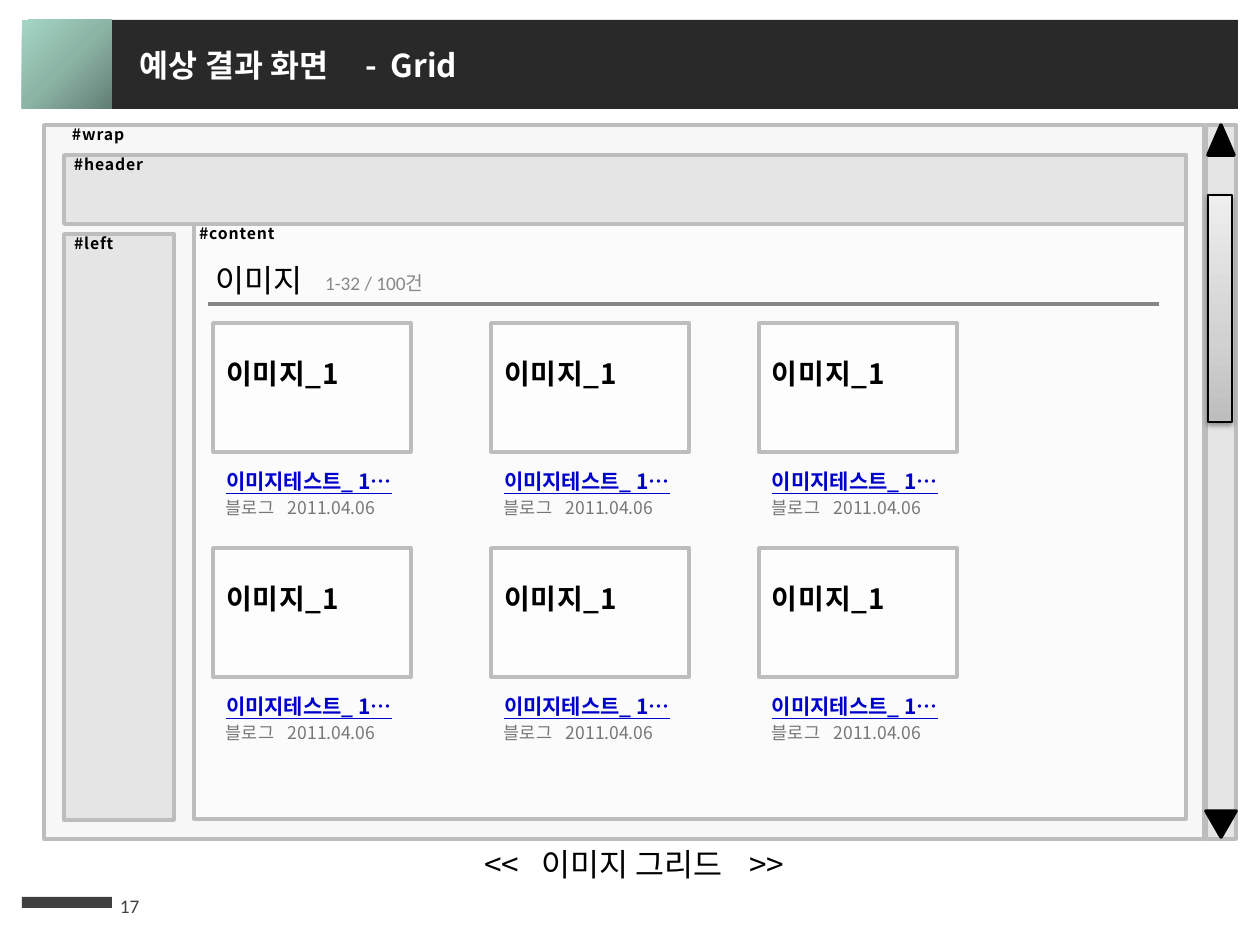
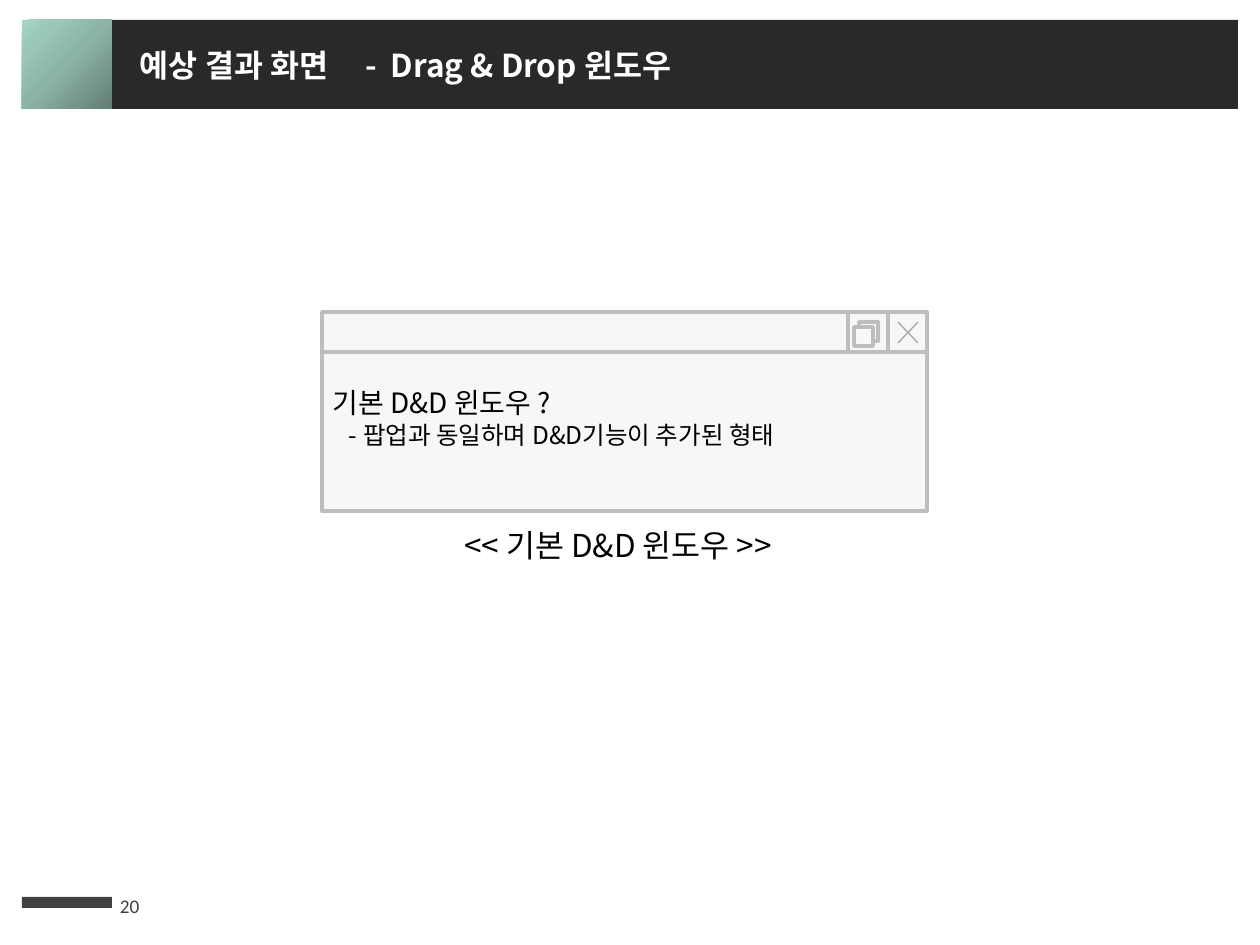
from lxml import etree
from pptx import Presentation, util as u
from pptx.dml.color import RGBColor
from pptx.enum import shapes, text
from pptx.oxml import parse_xml
from pptx.oxml.ns import nsdecls, qn

SCALE = 914400 / 126
NOTO, LATIN = "Noto Sans CJK KR", "Calibri"
BLACK = RGBColor(0, 0, 0)
WHITE = RGBColor(255, 255, 255)
BAND = RGBColor(0x29, 0x29, 0x29)
DARK = RGBColor(0x40, 0x40, 0x40)
PANEL = RGBColor(0xF7, 0xF7, 0xF7)
PALE = RGBColor(0xE5, 0xE5, 0xE5)
EDGE = RGBColor(0xBD, 0xBD, 0xBD)
RULE = RGBColor(0x86, 0x86, 0x86)
CROSS = RGBColor(0xA6, 0xA6, 0xA6)
COUNT = RGBColor(0x88, 0x88, 0x88)
MUTED = RGBColor(0x77, 0x77, 0x77)
LINK = RGBColor(0, 0, 0xCC)
MINT = [(0, "627E74"), (50, "8BB4A5"), (100, "A5D5C4")]
STEEL = [(0, "BDBDBD"), (35, "D1D1D1"), (100, "EEEEEE")]
ROUND = ('<a:path path="circle"><a:fillToRect l="100000" t="100000"/></a:path>')
UPWARD = '<a:lin ang="16200000" scaled="0"/>'


def px(n):
    return u.Emu(round(n * SCALE))


def box(slide, x, y, w, h, fill=None, edge=None, width=2, kind="RECTANGLE", alpha=None):
    item = slide.shapes.add_shape(shapes.MSO_SHAPE[kind], px(x), px(y), px(w), px(h))
    item.shadow.inherit = False
    if fill is not None:
        item.fill.solid()
        item.fill.fore_color.rgb = fill
    if alpha:
        color = item.fill._xPr.find(qn("a:solidFill"))[0]
        etree.SubElement(color, qn("a:alpha")).set("val", str(alpha * 1000))
    if edge is None:
        item.line.fill.background()
    else:
        item.line.color.rgb = edge
        item.line.width = u.Pt(width)
    return item


def blend(item, stops, way):
    marks = "".join(f'<a:gs pos="{at * 1000}"><a:srgbClr val="{tone}"/></a:gs>'
                    for at, tone in stops)
    props = item._element.spPr
    grad = parse_xml(f'<a:gradFill {nsdecls("a")} rotWithShape="1">'
                     f'<a:gsLst>{marks}</a:gsLst>{way}</a:gradFill>')
    props.find(qn("a:prstGeom")).addnext(grad)


def shade(item):
    cast = etree.SubElement(item._element.spPr.find(qn("a:effectLst")), qn("a:outerShdw"))
    for key, val in (("blurRad", u.Pt(3.1)), ("dist", u.Pt(1.6)), ("dir", 5400000)):
        cast.set(key, str(int(val)))
    color = etree.SubElement(cast, qn("a:srgbClr"))
    color.set("val", "000000")
    etree.SubElement(color, qn("a:alpha")).set("val", "38000")


def line(slide, x1, y1, x2, y2, color, width):
    item = slide.shapes.add_connector(
        shapes.MSO_CONNECTOR.STRAIGHT, px(x1), px(y1), px(x2), px(y2))
    item.line.color.rgb = color
    item.line.width = u.Pt(width)
    etree.SubElement(item._element.spPr, qn("a:effectLst"))


def frame(item, left=13, top=6, anchor="TOP"):
    body = item.text_frame
    body.word_wrap = True
    body.vertical_anchor = text.MSO_ANCHOR[anchor]
    body.margin_left, body.margin_top = px(left), px(top)
    body.margin_right = body.margin_bottom = 0
    return body


def write(para, words, size, color=BLACK, font=NOTO, bold=False, under=False,
          space=0, tabs=(), indent=0):
    para.alignment = text.PP_ALIGN.LEFT
    props = para._p.get_or_add_pPr()
    if indent:
        props.set("marL", str(px(indent)))
        props.set("indent", "0")
    if tabs:
        stops = etree.SubElement(props, qn("a:tabLst"))
        for at in tabs:
            stop = etree.SubElement(stops, qn("a:tab"))
            stop.set("pos", str(px(at)))
            stop.set("algn", "l")
    run = para.add_run()
    run.text = words
    run.font.size = u.Pt(size)
    run.font.bold = bold
    run.font.underline = under
    run.font.color.rgb = color
    run.font.name = font
    rpr = run._r.get_or_add_rPr()
    rpr.find(qn("a:latin")).addnext(
        parse_xml(f'<a:ea {nsdecls("a")} typeface="{NOTO}"/>'))
    if space:
        rpr.set("spc", str(space))


def label(slide, x, y, w, h, words, size, anchor="TOP", **style):
    item = slide.shapes.add_textbox(px(x), px(y), px(w), px(h))
    write(frame(item, anchor=anchor).paragraphs[0], words, size, **style)


def panel(slide, x, y, w, h, name, left, fill, alpha=None):
    item = box(slide, x, y, w, h, fill, EDGE, alpha=alpha)
    write(frame(item, left, 0).paragraphs[0], name, 9, bold=True, space=50)


def tile(slide, x, y):
    item = box(slide, x, y, 198, 129, WHITE, EDGE, alpha=60)
    write(frame(item, 13, 34).paragraphs[0], "이미지_1", 16, bold=True, space=50)
    label(slide, x, y + 140, 218, 38, "이미지테스트_ 1…", 12,
          color=LINK, bold=True, under=True)
    label(slide, x, y + 168, 277, 34, "블로그\t2011.04.06", 10,
          color=MUTED, tabs=[62])


def scroll(slide):
    box(slide, 1206, 125, 30, 714, PALE, EDGE)
    thumb = box(slide, 1208, 195, 24, 227, edge=BLACK, width=0.75)
    blend(thumb, STEEL, UPWARD)
    shade(thumb)
    box(slide, 1208, 125, 26, 30, BLACK, BLACK, kind="ISOSCELES_TRIANGLE")
    down = box(slide, 1206, 811, 30, 26, BLACK, BLACK, kind="ISOSCELES_TRIANGLE")
    down.rotation = 180


def start(deck, topic, number):
    slide = deck.slides.add_slide(deck.slide_layouts[6])
    box(slide, 112, 20, 1126, 89, BAND)
    blend(box(slide, 22, 20, 90, 89), MINT, ROUND)
    box(slide, 22, 897, 90, 11, DARK)
    label(slide, 107, 878, 74, 50, number, 11, "MIDDLE", color=DARK, font=LATIN)
    label(slide, 127, 40, 881, 50, f"예상 결과 화면\t-\t{topic}", 18,
          color=WHITE, bold=True, tabs=[226, 251])
    return slide


def grid(deck):
    slide = start(deck, "Grid", "17")
    label(slide, 471, 839, 348, 50, "<<\t이미지 그리드\t>>", 18, tabs=[58, 265])
    panel(slide, 44, 125, 1160, 714, "#wrap", 28, PANEL)
    panel(slide, 194, 224, 992, 595, "#content", 5, WHITE, alpha=60)
    panel(slide, 64, 155, 1122, 69, "#header", 10, PALE)
    panel(slide, 64, 234, 110, 586, "#left", 10, PALE)
    line(slide, 208, 304, 1159, 304, RULE, 2)
    label(slide, 203, 255, 159, 50, "이미지", 18)
    label(slide, 312, 265, 159, 37, "1-32 / 100건", 11, color=COUNT, font=LATIN)
    for y in (323, 548):
        for x in (213, 491, 759):
            tile(slide, x, y)
    scroll(slide)


def window(deck):
    slide = start(deck, "Drag & Drop 윈도우", "20")
    box(slide, 322, 312, 605, 40, PANEL, EDGE)
    box(slide, 848, 312, 40, 40, PANEL, EDGE)
    pane = box(slide, 322, 352, 605, 159, PANEL, EDGE)
    body = frame(pane, 11, 34)
    write(body.paragraphs[0], "기본 D&D 윈도우 ?", 16)
    write(body.add_paragraph(), "- 팝업과 동일하며 D&D기능이 추가된 형태", 14, indent=16)
    for x, y in ((859, 322), (854, 327)):
        box(slide, x, y, 19, 19, PANEL, EDGE)
    line(slide, 918, 322, 898, 343, CROSS, 0.75)
    line(slide, 918, 343, 898, 322, CROSS, 0.75)
    label(slide, 451, 520, 397, 50, "<< 기본 D&D 윈도우 >>", 18)


def main():
    deck = Presentation()
    deck.slide_width, deck.slide_height = px(1260), px(945)
    grid(deck)
    window(deck)
    deck.save("out.pptx")


if __name__ == "__main__":
    main()
